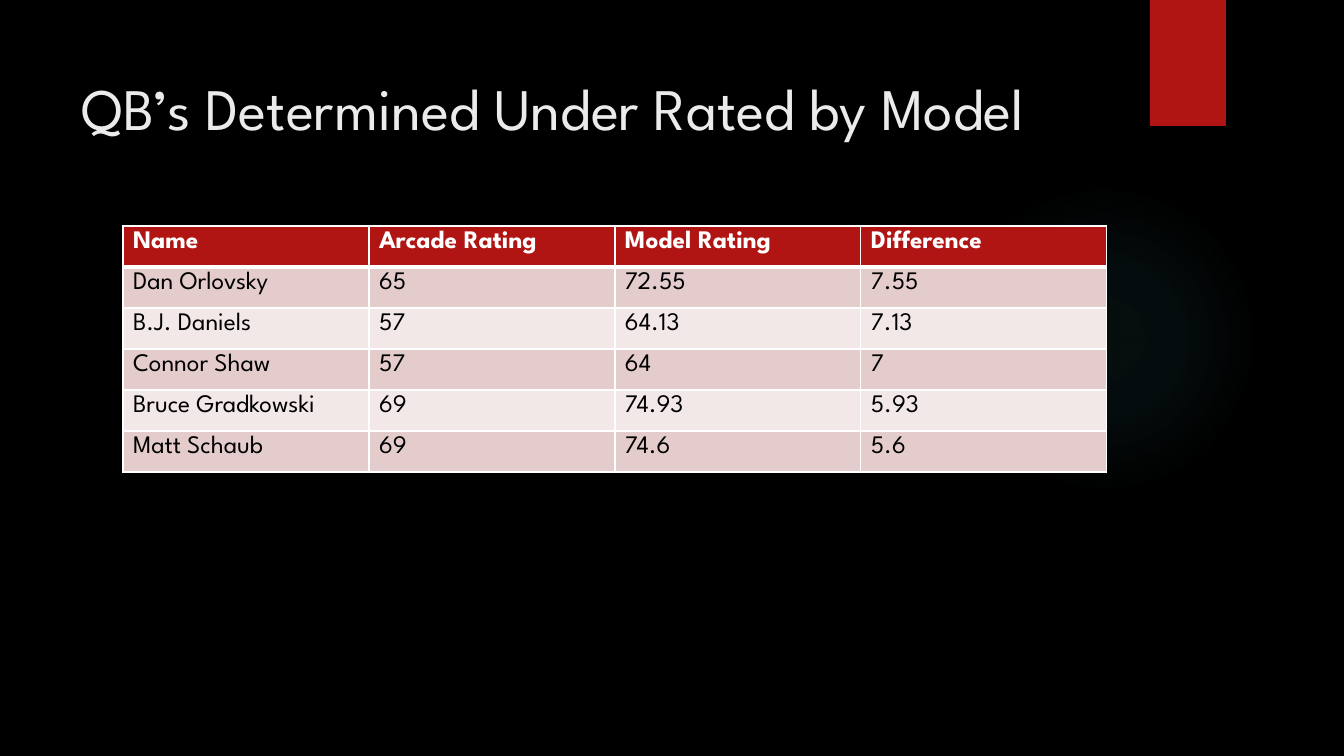
from pptx import Presentation
from pptx.dml.color import RGBColor
from pptx.enum.shapes import MSO_SHAPE as SHAPE
from pptx.enum.text import MSO_ANCHOR as ANCHOR
from pptx.oxml import parse_xml
from pptx.oxml.ns import nsdecls
from pptx.util import Pt

# Content
TITLE = "QB’s Determined Under Rated by Model"
ROWS = [
    ("Name", "Arcade Rating", "Model Rating", "Difference"),
    ("Dan Orlovsky", "65", "72.55", "7.55"),
    ("B.J. Daniels", "57", "64.13", "7.13"),
    ("Connor Shaw", "57", "64", "7"),
    ("Bruce Gradkowski", "69", "74.93", "5.93"),
    ("Matt Schaub", "69", "74.6", "5.6"),
]

# Format and layout, in px
FONT = "League Spartan"
RED, WHITE, BLACK = "B01513", "FFFFFF", "000000"
BANDS = ("F2E8E7", "E4CCCC")
GLOW, GLOW_STOPS = "50B9C1", [(0, 7), (36, 6), (69, 0)]
SLIDE_W, SLIDE_H = 1344, 756
GLOW_BOX = (949, 184, 310, 310)
TAB_BOX = (1150, 0, 76, 126)
TITLE_BOX = (72, 50, 1037, 154)
TABLE_LEFT, TABLE_TOP, COL_W, ROW_H = 123, 226, 246, 41


def px(n):
    return round(n * 12192000 / SLIDE_W)


def box(*lengths):
    return [px(n) for n in lengths]


def rgb(color):
    return RGBColor.from_string(color)


def paint(fill, color):
    fill.solid()
    fill.fore_color.rgb = rgb(color)


def write(tf, text, size, color, bold=False):
    r = tf.paragraphs[0].add_run()
    r.text = text
    for name, value in {"name": FONT, "size": Pt(size), "bold": bold}.items():
        setattr(r.font, name, value)
    r.font.color.rgb = rgb(color)


def add_plain(kind, bounds):
    s = shapes.add_shape(kind, *box(*bounds))
    s.shadow.inherit = False
    s.line.fill.background()
    return s


def set_border(cell, side, width):
    cell._tc.get_or_add_tcPr().append(parse_xml(
        f'<a:ln{side} {nsdecls("a")} w="{Pt(width)}"><a:solidFill>'
        f'<a:srgbClr val="{WHITE}"/></a:solidFill></a:ln{side}>'))


prs = Presentation()
prs.slide_width, prs.slide_height = box(SLIDE_W, SLIDE_H)
slide = prs.slides.add_slide(prs.slide_layouts[6])
shapes = slide.shapes
paint(slide.background.fill, BLACK)

# Soft radial glow
glow = add_plain(SHAPE.OVAL, GLOW_BOX)
stops = "".join(
    f'<a:gs pos="{pos * 1000}"><a:srgbClr val="{GLOW}">'
    f'<a:alpha val="{alpha * 1000}"/></a:srgbClr></a:gs>'
    for pos, alpha in GLOW_STOPS)
glow._element.spPr.find("{*}prstGeom").addnext(parse_xml(
    f'<a:gradFill {nsdecls("a")}><a:gsLst>{stops}</a:gsLst><a:path path="circle">'
    '<a:fillToRect l="50000" t="50000" r="50000" b="50000"/></a:path></a:gradFill>'))

# Red tab
paint(add_plain(SHAPE.RECTANGLE, TAB_BOX).fill, RED)

# Title
tf = shapes.add_textbox(*box(*TITLE_BOX)).text_frame
tf.word_wrap = True
tf.vertical_anchor = ANCHOR.TOP
tf.margin_top = px(22)
write(tf, TITLE, 42, "EBEBEB")

# Ratings table
n_rows, n_cols = len(ROWS), len(ROWS[0])
table = shapes.add_table(
    n_rows, n_cols,
    *box(TABLE_LEFT, TABLE_TOP, COL_W * n_cols, ROW_H * n_rows)).table
for col in table.columns:
    col.width = px(COL_W)
for i, (row, values) in enumerate(zip(table.rows, ROWS)):
    row.height = px(ROW_H)
    header = i == 0
    widths = {"L": 1, "R": 1, "T": 3 if i == 1 else 1, "B": 3 if header else 1}
    for cell, value in zip(row.cells, values):
        for side, width in widths.items():
            set_border(cell, side, width)
        paint(cell.fill, RED if header else BANDS[i % 2])
        write(cell.text_frame, value, 18, WHITE if header else BLACK, header)

prs.save("out.pptx")
